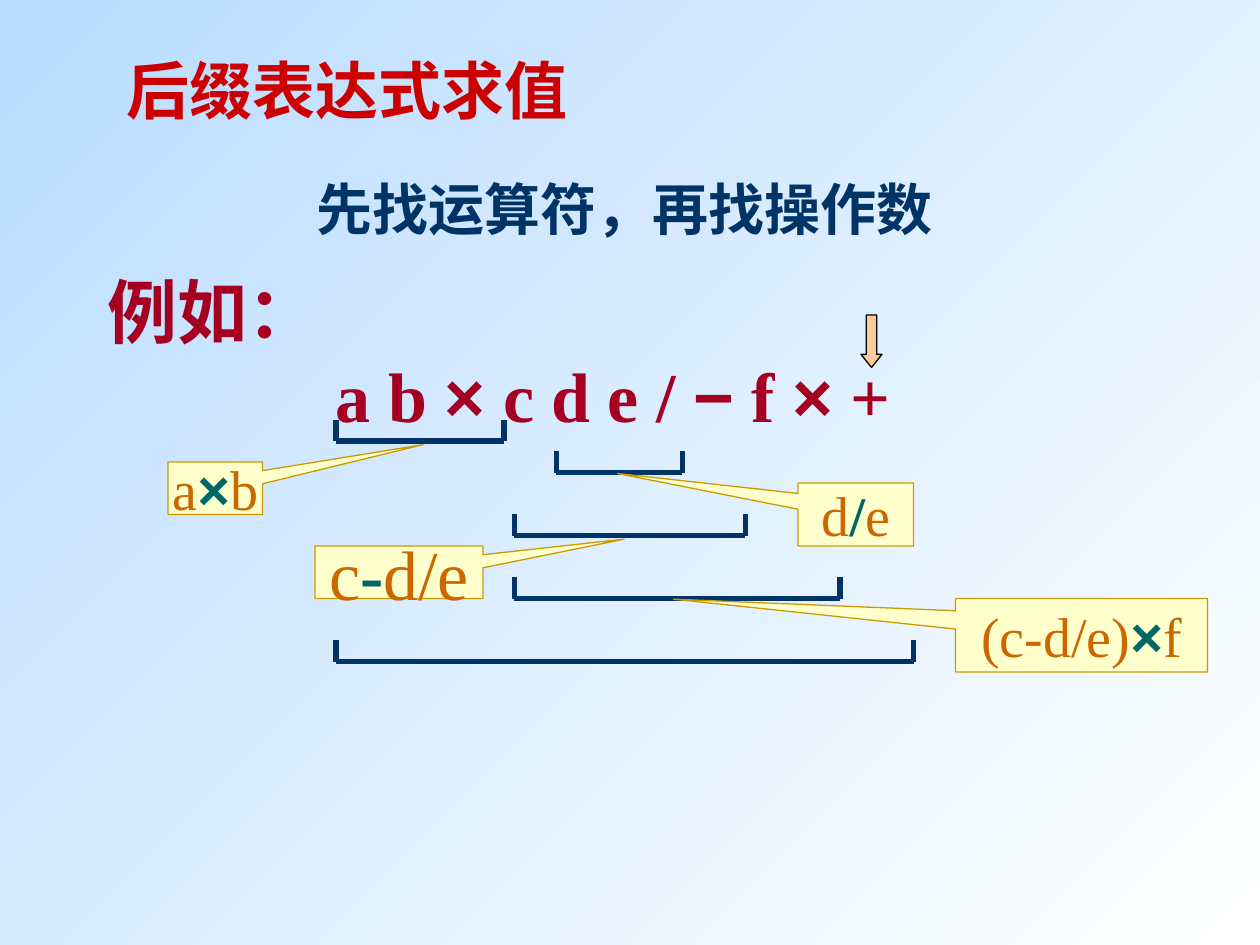
from lxml.etree import SubElement
from pptx import Presentation
from pptx.dml.color import RGBColor
from pptx.enum.shapes import MSO_CONNECTOR, MSO_SHAPE
from pptx.enum.text import MSO_ANCHOR, PP_ALIGN
from pptx.oxml.ns import qn
from pptx.util import Inches, Pt

RED = RGBColor(0xCC, 0x00, 0x00)
WINE = RGBColor(0xA5, 0x00, 0x21)
NAVY = RGBColor(0x00, 0x33, 0x66)
TEAL = RGBColor(0x00, 0x66, 0x66)
RUST = RGBColor(0xCC, 0x66, 0x00)
GOLD = RGBColor(0xCC, 0x99, 0x00)
CREAM = RGBColor(0xFF, 0xFF, 0xCC)
PEACH = RGBColor(0xFF, 0xCC, 0x99)
SKY = RGBColor(0xB9, 0xDC, 0xFF)
WHITE = RGBColor(0xFF, 0xFF, 0xFF)
BLACK = RGBColor(0x00, 0x00, 0x00)
SERIF, SANS = "Times New Roman", "Arial"

# Grid of 120 columns by 90 rows
deck = Presentation()
deck.slide_width, deck.slide_height = Inches(10), Inches(7.5)
UNIT = deck.slide_width / 120


def grid(*cells):
    return [round(cell * UNIT) for cell in cells]


def write(para, text, size=32, color=NAVY, bold=True, face=SERIF):
    run = para.add_run()
    run.text = text
    font = run.font
    font.size, font.bold, font.name = Pt(size), bold, face
    font.color.rgb = color


slide = deck.slides.add_slide(deck.slide_layouts[5])
shapes = slide.shapes

# Background
back = slide.background.fill
back.gradient()
back.gradient_angle = 315
for stop, color in zip(back.gradient_stops, (SKY, WHITE)):
    stop.color.rgb = color

# Title
title = shapes.title
title.left, title.top, title.width, title.height = grid(9, 4, 48, 9)
title.text_frame.vertical_anchor = MSO_ANCHOR.MIDDLE
head = title.text_frame.paragraphs[0]
head.alignment = PP_ALIGN.CENTER
write(head, "后缀表达式求值", size=36, color=RED)

# Rule
rule = shapes.add_textbox(*grid(8, 16, 103, 10)).text_frame
rule.word_wrap = True
rule.paragraphs[0].alignment = PP_ALIGN.CENTER
write(rule.paragraphs[0], "先找运算符，再找操作数")

# Example and its expression
sample = shapes.add_textbox(*grid(9.1, 25, 78, 17.3)).text_frame
sample.word_wrap = True
write(sample.paragraphs[0], "例如：", size=40, color=WINE)
line = sample.add_paragraph()
line._p.get_or_add_pPr().set("marL", str(Inches(1.81)))
parts = ["a b ", "×", " c d e / ", "−", " f ", "×", " +"]
for i, part in enumerate(parts):
    write(line, part, size=40, color=WINE, face=SANS if i % 2 else SERIF)

# Brackets: left column, right column, base row
for left, right, base in [(32, 48, 42), (53, 65, 45), (49, 71, 51),
                          (49, 80, 57), (32, 87, 63)]:
    for ends in [(left, base, right, base),
                 (left, base - 2, left, base),
                 (right, base - 2, right, base)]:
        edge = shapes.add_connector(MSO_CONNECTOR.STRAIGHT, *grid(*ends))
        edge.line.color.rgb = NAVY
        edge.line.width = Pt(3)
        SubElement(edge._element.spPr, qn("a:effectLst"))

# Callouts: cell, tip offset, text size, operand / operator / operand
notes = [
    ((16, 44, 9, 5), (2.2, -0.83), 32, ("a", "×", "b")),
    ((76, 46, 11, 6), (-2.06, -0.65), 32, ("d", "/", "e")),
    ((30, 52, 16, 5), (1.34, -0.63), 40, ("c", "-", "d/e")),
    ((91, 57, 24, 7), (-1.62, -0.49), 32, ("(c-d/e)", "×", "f")),
]
for cell, tip, size, (first, sign, last) in notes:
    note = shapes.add_shape(MSO_SHAPE.RECTANGULAR_CALLOUT, *grid(*cell))
    note.shadow.inherit = False
    note.adjustments[0], note.adjustments[1] = tip
    note.fill.solid()
    note.fill.fore_color.rgb = CREAM
    note.line.color.rgb = GOLD
    note.line.width = Pt(0.75)
    frame = note.text_frame
    frame.word_wrap = False
    frame.vertical_anchor = MSO_ANCHOR.MIDDLE
    para = frame.paragraphs[0]
    para.alignment = PP_ALIGN.CENTER
    write(para, first, size=size, color=RUST, bold=False)
    write(para, sign, size=size, color=TEAL,
          face=SANS if sign == "×" else SERIF)
    write(para, last, size=size, color=RUST, bold=False)

# Arrow at the current operator
arrow = shapes.add_shape(MSO_SHAPE.DOWN_ARROW, *grid(82, 30, 2, 5))
arrow.shadow.inherit = False
arrow.adjustments[0], arrow.adjustments[1] = 0.5, 0.62
arrow.fill.solid()
arrow.fill.fore_color.rgb = PEACH
arrow.line.color.rgb = BLACK
arrow.line.width = Pt(0.75)

deck.save("out.pptx")
